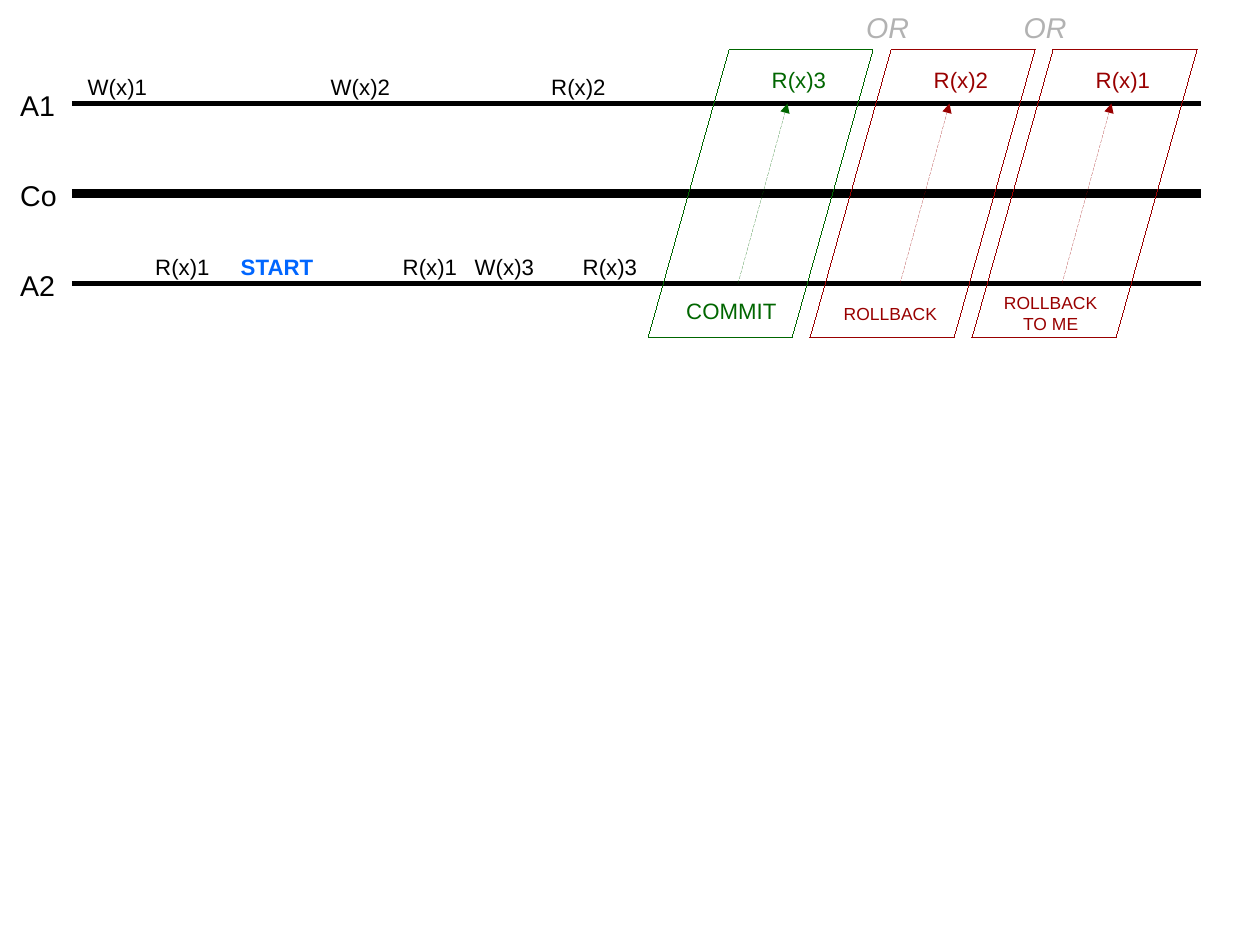
from dataclasses import dataclass

from lxml.etree import SubElement
from pptx import Presentation
from pptx.dml.color import RGBColor
from pptx.enum.dml import MSO_LINE_DASH_STYLE as Dash
from pptx.enum.shapes import MSO_CONNECTOR as Connector
from pptx.enum.text import MSO_AUTO_SIZE as AutoSize, PP_ALIGN as Align
from pptx.oxml.ns import qn
from pptx.util import Cm, Pt

COLS, ROWS = 28, 21
CELL = Cm(1)


@dataclass(frozen=True)
class Theme:
    font: str = "Arial"
    ink: str = "000000"
    start: str = "0066FF"
    commit: str = "006600"
    rollback: str = "990000"
    either: str = "B2B2B2"
    label: int = 18
    event: int = 14
    small: int = 11
    rail: float = 2.83
    thick_rail: float = 5.67
    hairline: float = 0


THEME = Theme()
A1, CO, A2 = 2.3, 4.3, 6.3
RAIL_LEFT, RAIL_RIGHT = 1.6, 26.7

RAILS = [("A1", A1, THEME.rail), ("Co", CO, THEME.thick_rail), ("A2", A2, THEME.rail)]
EVENTS = [
    ("W(x)1", 1.7, A1), ("W(x)2", 7.1, A1), ("R(x)2", 12, A1),
    ("R(x)1", 3.2, A2), ("R(x)1", 8.7, A2), ("W(x)3", 10.3, A2), ("R(x)3", 12.7, A2),
]
# action lines, result, colour, size, action offset from the outcome's left, action row
OUTCOMES = [
    (["COMMIT"], "R(x)3", THEME.commit, THEME.event, 0.6, 6.49),
    (["ROLLBACK"], "R(x)2", THEME.rollback, THEME.small, 0.5, 6.6),
    (["ROLLBACK", "TO ME"], "R(x)1", THEME.rollback, THEME.small, 0.4, 6.37),
]
OUTCOME_LEFT, OUTCOME_STEP = 14.4, 3.6
FRAME_TOP, FRAME_BOTTOM, FRAME_EDGE, SLANT = 1.1, 7.5, 3.2, 1.8


def grid(*cells):
    return [round(c * CELL) for c in cells]


def add_text(shapes, lines, x, y, w, h, size, color, bold=False, italic=False):
    sp = shapes.add_textbox(*grid(x, y, w, h))
    tf = sp.text_frame
    tf.word_wrap = True
    tf.auto_size = AutoSize.SHAPE_TO_FIT_TEXT
    tf.text = "\n".join(lines)
    for p in tf.paragraphs:
        p.alignment = Align.CENTER if len(lines) > 1 else Align.LEFT
        p.font.name, p.font.size = THEME.font, Pt(size)
        p.font.bold, p.font.italic = bold, italic
        p.font.color.rgb = RGBColor.from_string(color)


def add_line(shapes, x1, y1, x2, y2, width, color):
    """Add a line whose width is always written, as a width of 0 is a hairline."""
    line = shapes.add_connector(Connector.STRAIGHT, *grid(x1, y1, x2, y2))
    line.line.color.rgb = RGBColor.from_string(color)
    line.line._get_or_add_ln().set("w", str(Pt(width)))
    SubElement(line._element.spPr, qn("a:effectLst"))
    return line


def add_dashed_arrow(shapes, x1, y1, x2, y2, color):
    arrow = add_line(shapes, x1, y1, x2, y2, THEME.hairline, color)
    arrow.line.dash_style = Dash.SQUARE_DOT
    SubElement(arrow.line._get_or_add_ln(), qn("a:tailEnd"), type="triangle")


def add_slanted_frame(shapes, x, color):
    top_left, top_right = (x + SLANT, FRAME_TOP), (x + SLANT + FRAME_EDGE, FRAME_TOP)
    low_left, low_right = (x, FRAME_BOTTOM), (x + FRAME_EDGE, FRAME_BOTTOM)
    for start, end in [(top_left, top_right), (low_left, low_right),
                       (top_right, low_right), (top_left, low_left)]:
        add_line(shapes, *start, *end, THEME.hairline, color)


def add_rail(shapes, name, y, width):
    add_line(shapes, RAIL_LEFT, y, RAIL_RIGHT, y, width, THEME.ink)
    add_text(shapes, [name], 0.2, y - 0.47, 1.4, 0.97, THEME.label, THEME.ink)


def add_event(shapes, name, x, rail, w=2, color=THEME.ink, bold=False):
    add_text(shapes, [name], x, rail - 0.8, w, 0.81, THEME.event, color, bold)


def add_outcome(shapes, x, action, result, color, size, offset, row):
    """Group a slanted frame with the action on A2 and its result on A1."""
    parts = shapes.add_group_shape().shapes
    add_text(parts, action, x + offset, row, 2.7, 0.7, size, color)
    add_text(parts, [result], x + 2.5, 1.35, 2, 0.81, THEME.event, color)
    add_dashed_arrow(parts, x + 2, A2, x + 3.1, A1, color)
    add_slanted_frame(parts, x, color)


def main():
    prs = Presentation()
    prs.slide_width, prs.slide_height = grid(COLS, ROWS)
    shapes = prs.slides.add_slide(prs.slide_layouts[6]).shapes

    for rail in RAILS:
        add_rail(shapes, *rail)
    for event in EVENTS:
        add_event(shapes, *event)
    add_event(shapes, "START", 5.1, A2, 2.7, THEME.start, bold=True)
    for i, outcome in enumerate(OUTCOMES):
        add_outcome(shapes, OUTCOME_LEFT + i * OUTCOME_STEP, *outcome)
    for x in (19, 22.5):
        add_text(shapes, ["OR"], x, 0.1, 1.6, 0.97, THEME.label, THEME.either, italic=True)

    prs.save("out.pptx")


if __name__ == "__main__":
    main()
